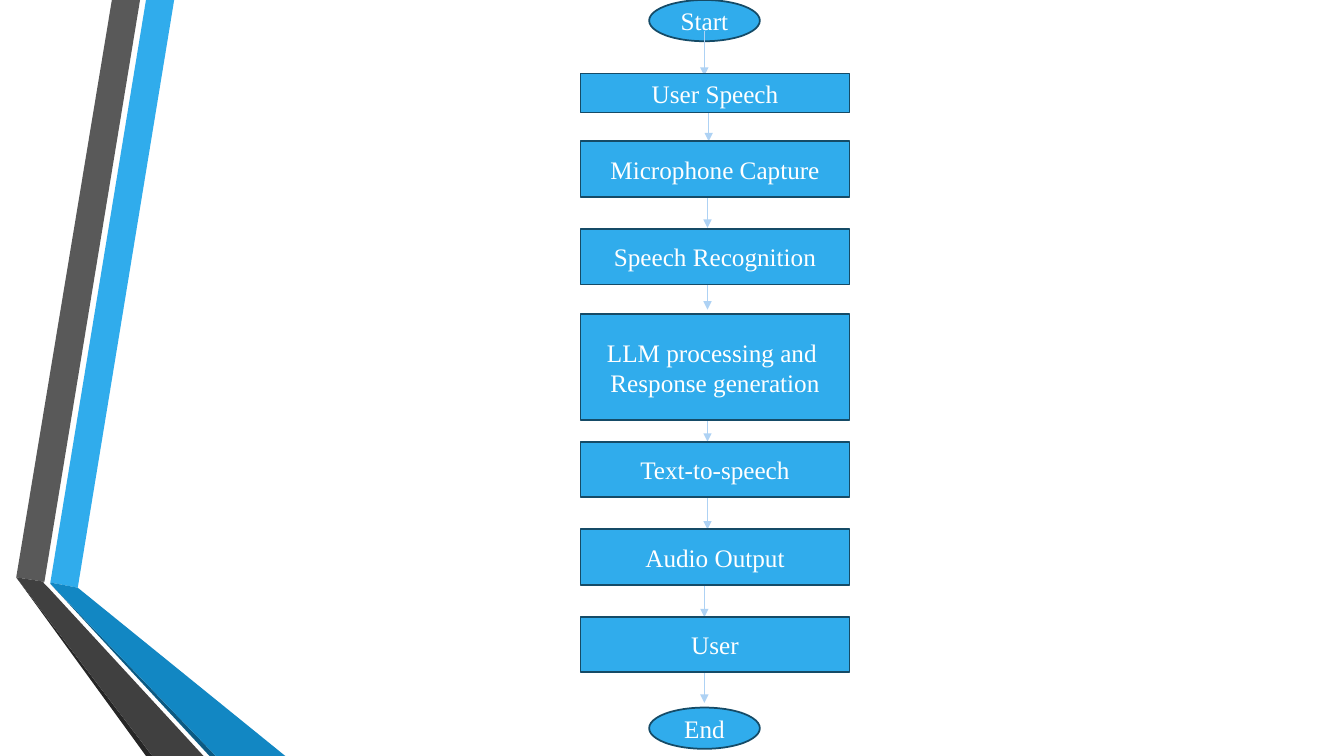
from dataclasses import dataclass

from lxml.etree import SubElement
from pptx import Presentation
from pptx.dml.color import RGBColor
from pptx.enum.shapes import MSO_CONNECTOR, MSO_SHAPE
from pptx.enum.text import MSO_ANCHOR, PP_ALIGN
from pptx.oxml.ns import qn
from pptx.util import Cm, Pt


@dataclass(frozen=True)
class Theme:
    font: str = "Times New Roman"
    size: float = 18
    text: str = "FFFFFF"
    blue: str = "30ACEC"
    blue_mid: str = "1287C3"
    blue_dark: str = "0C5A82"
    gray: str = "595959"
    gray_mid: str = "404040"
    gray_dark: str = "262626"
    outline: str = "154B67"
    outline_width: float = 1.25
    arrow: str = "AED2F4"
    arrow_width: float = 0.75


THEME = Theme()

# Ribbon faces from back to front: colour, corners in cm
RIBBON_FACES = [
    (THEME.blue, [(1.27, 14.68), (1.96, 14.81), (4.39, 0), (3.68, 0)]),
    (THEME.gray, [(3.53, 0), (2.82, 0), (0.41, 14.55), (1.12, 14.66)]),
    (THEME.gray_dark, [(0.41, 14.55), (3.68, 19.05), (3.84, 19.05)]),
    (THEME.blue_dark, [(1.27, 14.71), (5.28, 19.05), (5.44, 19.05)]),
    (THEME.blue_mid, [(1.27, 14.71), (5.44, 19.05), (7.19, 19.05),
                      (1.96, 14.81), (1.27, 14.68)]),
    (THEME.gray_mid, [(5.13, 19.05), (1.22, 14.81), (1.09, 14.68),
                      (1.12, 14.66), (0.41, 14.55), (3.84, 19.05)]),
]

# Steps: text, top and height in cm
STEPS = [
    ("User Speech", 1.85, 0.99),
    ("Microphone Capture", 3.56, 1.4),
    ("Speech Recognition", 5.77, 1.4),
    ("LLM processing and \nResponse generation", 7.92, 2.67),
    ("Text-to-speech", 11.13, 1.4),
    ("Audio Output", 13.34, 1.4),
    ("User", 15.54, 1.4),
]

# Arrows: offset from the column's left edge and top, in cm
ARROWS = [(3.12, 0.79), (3.23, 2.44), (3.2, 4.62), (3.2, 6.68),
          (3.2, 10.01), (3.2, 12.22), (3.12, 14.43), (3.12, 16.59)]
ARROW_LENGTH = 1.12
TERMINAL_WIDTH, TERMINAL_HEIGHT = 2.79, 1.04
TERMINAL_OFFSET = 1.73
END_TOP = 17.83


def rgb(color):
    return RGBColor.from_string(color)


def write_text(tf, text, *, font=THEME.font, size=THEME.size,
               color=THEME.text, align=PP_ALIGN.CENTER):
    tf.word_wrap = True
    tf.vertical_anchor = MSO_ANCHOR.MIDDLE
    for i, line in enumerate(text.split("\n")):
        p = tf.add_paragraph() if i else tf.paragraphs[0]
        p.alignment = align
        r = p.add_run()
        r.text = line
        r.font.name = font
        r.font.size = Pt(size)
        r.font.color.rgb = rgb(color)


def add_node(s, kind, text, left, top, width, height):
    sp = s.shapes.add_shape(kind, Cm(left), Cm(top), Cm(width), Cm(height))
    sp.shadow.inherit = False
    sp.fill.solid()
    sp.fill.fore_color.rgb = rgb(THEME.blue)
    sp.line.color.rgb = rgb(THEME.outline)
    sp.line.width = Pt(THEME.outline_width)
    write_text(sp.text_frame, text)


def add_arrow(s, x, top, length):
    c = s.shapes.add_connector(MSO_CONNECTOR.STRAIGHT, Cm(x), Cm(top),
                               Cm(x), Cm(top + length))
    c.line.color.rgb = rgb(THEME.arrow)
    c.line.width = Pt(THEME.arrow_width)
    SubElement(c.line._get_or_add_ln(), qn("a:tailEnd"), type="triangle")
    SubElement(c._element.spPr, qn("a:effectLst"))


def add_ribbon(s, left, top):
    """Folded ribbon along the left edge."""
    for color, corners in RIBBON_FACES:
        points = [(Cm(left + x), Cm(top + y)) for x, y in corners]
        builder = s.shapes.build_freeform(*points[0])
        builder.add_line_segments(points[1:], close=True)
        sp = builder.convert_to_shape()
        sp.shadow.inherit = False
        sp.fill.solid()
        sp.fill.fore_color.rgb = rgb(color)
        sp.line.fill.background()


def add_flowchart(s, left, top, width):
    """Column of steps between the start and end ovals."""
    def add_terminal(text, offset):
        add_node(s, MSO_SHAPE.OVAL, text, left + TERMINAL_OFFSET,
                 top + offset, TERMINAL_WIDTH, TERMINAL_HEIGHT)

    add_terminal("Start", 0)

    # Arrows lie over the start oval and behind the steps
    for dx, dy in ARROWS:
        add_arrow(s, left + dx, top + dy, ARROW_LENGTH)

    for text, dy, height in STEPS:
        add_node(s, MSO_SHAPE.RECTANGLE, text, left, top + dy, width, height)

    add_terminal("End", END_TOP)


def main():
    prs = Presentation()
    prs.slide_width, prs.slide_height = Cm(33.87), Cm(19.05)
    s = prs.slides.add_slide(prs.slide_layouts[6])
    add_ribbon(s, left=0, top=0)
    add_flowchart(s, left=14.63, top=0, width=6.78)
    prs.save("out.pptx")


if __name__ == "__main__":
    main()
